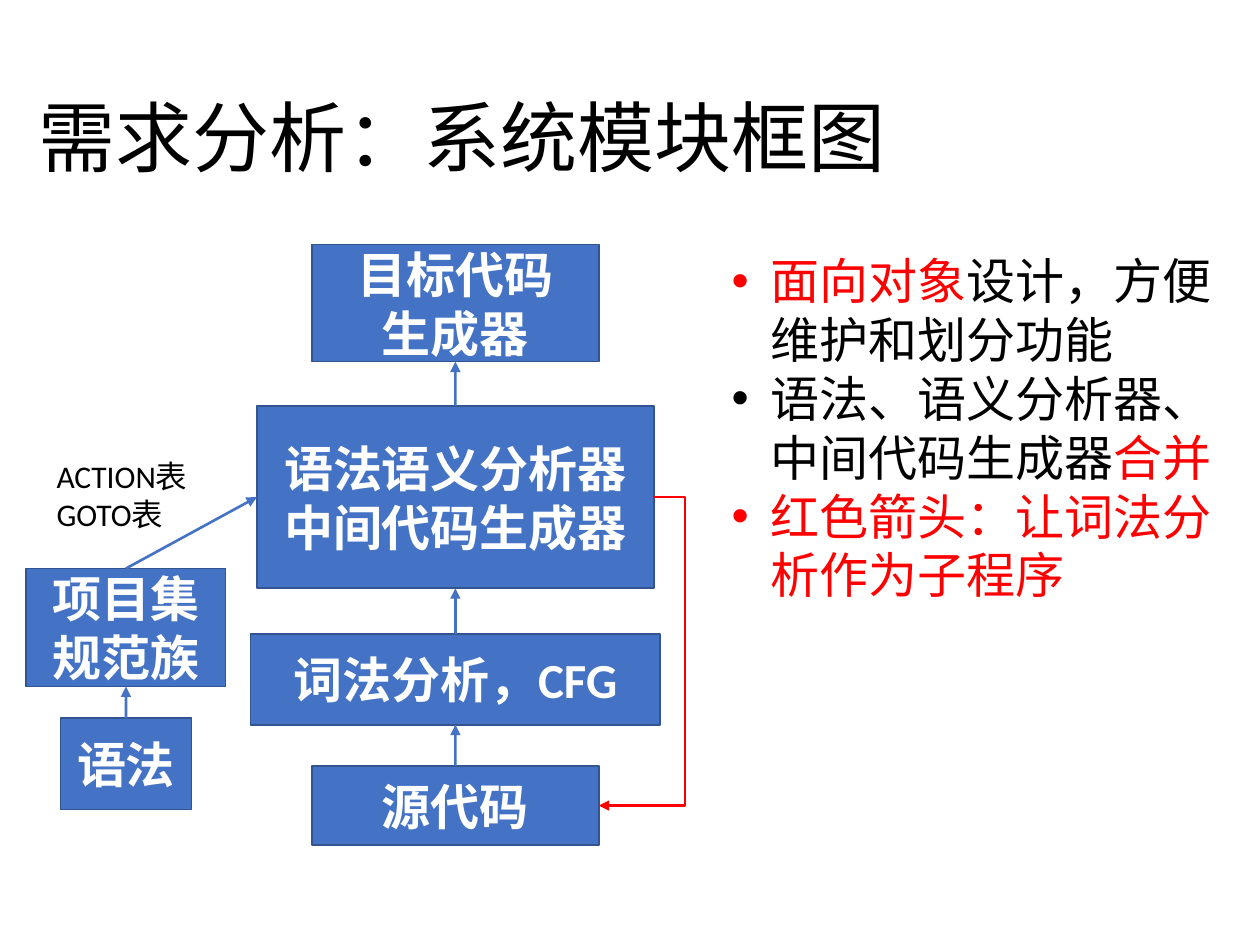
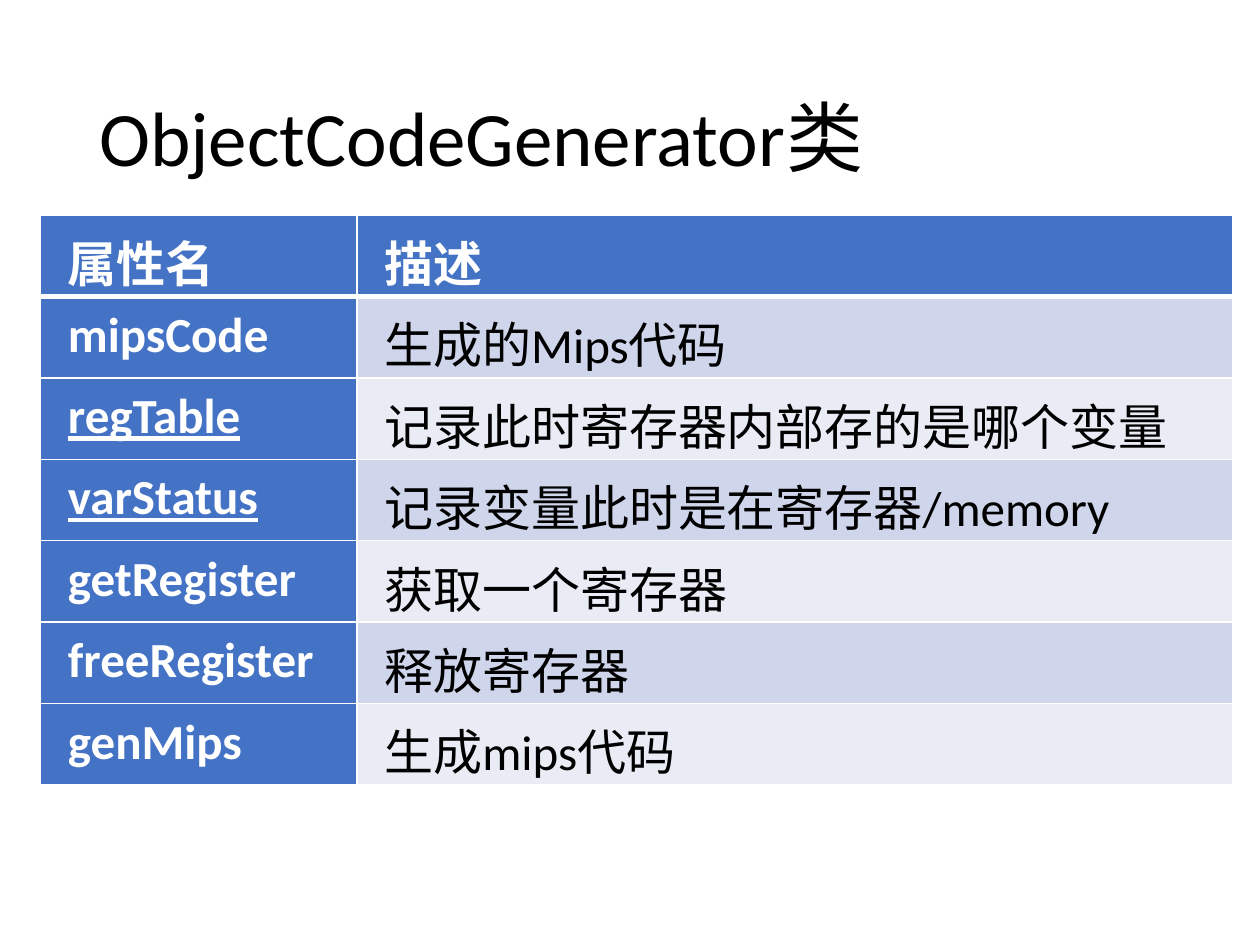
from lxml import etree
from pptx import Presentation
from pptx import util as u
from pptx.dml import color
from pptx.enum import shapes, text
from pptx.oxml import ns

BLUE, OUTLINE, RED = "4472C4", "325491", "FF0000"
BLACK, WHITE = "000000", "FFFFFF"
BANDS = ["CFD5EA", "E9EBF5"]


def rgb(value):
    return color.RGBColor.from_string(value)


def write(frame, lines, size, bold=False):
    """Fill a text frame; each line is a list of (text, colour) runs."""
    frame.word_wrap = True
    for number, line in enumerate(lines):
        para = frame.paragraphs[0] if number == 0 else frame.add_paragraph()
        for words, shade in line:
            span = para.add_run()
            span.text = words
            span.font.name = "Calibri"
            span.font.size = u.Pt(size)
            span.font.bold = bold
            span.font.color.rgb = rgb(shade)


deck = Presentation()
deck.slide_width, deck.slide_height = u.Cm(25.4), u.Cm(19.05)

# Pages and their titles
pages = []
for title, left, width in [("需求分析：系统模块框图", 0.53, 24.31),
                           ("ObjectCodeGenerator类", 1.75, 21.9)]:
    page = deck.slides.add_slide(deck.slide_layouts[6])
    box = page.shapes.add_textbox(u.Cm(left), u.Cm(1.02), u.Cm(width), u.Cm(3.68))
    box.text_frame.vertical_anchor = text.MSO_ANCHOR.MIDDLE
    write(box.text_frame, [[(title, BLACK)]], 44)
    box.text_frame.paragraphs[0].line_spacing = 0.9
    pages.append(page)
diagram_page, table_page = pages

# Module diagram: two columns of boxes, each centred on one axis
MAIN_AXIS, GRAMMAR_AXIS = 9.18, 2.54
modules = {}
for name, axis, top, width, height, lines in [
    ("lexer", MAIN_AXIS, 12.78, 8.26, 1.83, ["词法分析，CFG"]),
    ("parser", MAIN_AXIS, 8.18, 8, 3.68, ["语法语义分析器", "中间代码生成器"]),
    ("target", MAIN_AXIS, 4.93, 5.78, 2.36, ["目标代码", "生成器"]),
    ("source", MAIN_AXIS, 15.44, 5.78, 1.6, ["源代码"]),
    ("items", GRAMMAR_AXIS, 11.46, 4.02, 2.38, ["项目集", "规范族"]),
    ("grammar", GRAMMAR_AXIS, 14.48, 2.64, 1.84, ["语法"]),
]:
    box = diagram_page.shapes.add_shape(
        shapes.MSO_SHAPE.RECTANGLE,
        u.Cm(axis - width / 2), u.Cm(top), u.Cm(width), u.Cm(height))
    box.shadow.inherit = False
    box.fill.solid()
    box.fill.fore_color.rgb = rgb(BLUE)
    box.line.color.rgb = rgb(OUTLINE)
    box.line.width = u.Pt(1)
    box.text_frame.vertical_anchor = text.MSO_ANCHOR.MIDDLE
    write(box.text_frame, [[(line, WHITE)] for line in lines], 28, bold=True)
    for para in box.text_frame.paragraphs:
        para.alignment = text.PP_ALIGN.CENTER
    modules[name] = box

# Arrows between modules
TOP, LEFT, BOTTOM, RIGHT = range(4)
STRAIGHT, ELBOW = shapes.MSO_CONNECTOR.STRAIGHT, shapes.MSO_CONNECTOR.ELBOW
for kind, start, start_side, end, end_side, shade in [
    (STRAIGHT, "source", TOP, "lexer", BOTTOM, BLUE),
    (STRAIGHT, "lexer", TOP, "parser", BOTTOM, BLUE),
    (STRAIGHT, "parser", TOP, "target", BOTTOM, BLUE),
    (STRAIGHT, "grammar", TOP, "items", BOTTOM, BLUE),
    (STRAIGHT, "items", TOP, "parser", LEFT, BLUE),
    (ELBOW, "parser", RIGHT, "source", RIGHT, RED),
]:
    arrow = diagram_page.shapes.add_connector(kind, 0, 0, 0, 0)
    arrow.begin_connect(modules[start], start_side)
    arrow.end_connect(modules[end], end_side)
    arrow.line.color.rgb = rgb(shade)
    arrow.line.width = u.Pt(1.5)
    etree.SubElement(arrow.line._get_or_add_ln(), ns.qn("a:tailEnd"), type="triangle")
    properties = arrow._element.spPr
    etree.SubElement(properties, ns.qn("a:effectLst"))
    if kind == ELBOW:
        geometry = properties.find(ns.qn("a:prstGeom"))
        guides = geometry.find(ns.qn("a:avLst"))
        if guides is None:
            guides = etree.SubElement(geometry, ns.qn("a:avLst"))
        etree.SubElement(guides, ns.qn("a:gd"), name="adj1", fmla="val -56700")

tables_label = diagram_page.shapes.add_textbox(u.Cm(0.89), u.Cm(9.09), u.Cm(3.4), u.Cm(1.8))
write(tables_label.text_frame, [[("ACTION表", BLACK)], [("GOTO表", BLACK)]], 18)

# Design notes beside the diagram
design = diagram_page.shapes.add_textbox(u.Cm(14.5), u.Cm(4.93), u.Cm(10.36), u.Cm(11.02))
write(design.text_frame, [
    [("面向对象", RED), ("设计，方便维护和划分功能", BLACK)],
    [("语法、语义分析器、中间代码生成器", BLACK), ("合并", RED)],
    [("红色箭头：让词法分析作为子程序", RED)],
], 28)
for para in design.text_frame.paragraphs:
    settings = para._p.get_or_add_pPr()
    settings.set("marL", str(u.Cm(0.79)))
    settings.set("indent", str(-u.Cm(0.79)))
    etree.SubElement(settings, ns.qn("a:buFont"), typeface="Arial")
    etree.SubElement(settings, ns.qn("a:buChar"), char="•")

# Table of class members
members = [
    ("属性名", "描述"),
    ("mipsCode", "生成的Mips代码"),
    ("regTable", "记录此时寄存器内部存的是哪个变量"),
    ("varStatus", "记录变量此时是在寄存器/memory"),
    ("getRegister", "获取一个寄存器"),
    ("freeRegister", "释放寄存器"),
    ("genMips", "生成mips代码"),
]
underlined = {"regTable", "varStatus"}
ROW_HEIGHT = 1.64
grid = table_page.shapes.add_table(
    len(members), 2, u.Cm(0.82), u.Cm(4.34),
    u.Cm(24.04), u.Cm(ROW_HEIGHT * len(members))).table
for column, width in zip(grid.columns, (6.38, 17.66)):
    column.width = u.Cm(width)

for row, member in enumerate(members):
    grid.rows[row].height = u.Cm(ROW_HEIGHT)
    for column, words in enumerate(member):
        heading = row == 0 or column == 0
        cell = grid.cell(row, column)
        cell.margin_left = cell.margin_right = u.Cm(0.19)
        cell.margin_top = cell.margin_bottom = 0
        cell.fill.solid()
        cell.fill.fore_color.rgb = rgb(BLUE if heading else BANDS[(row - 1) % 2])
        write(cell.text_frame, [[(words, WHITE if heading else BLACK)]], 28, bold=heading)
        para = cell.text_frame.paragraphs[0]
        para.line_spacing = 1.15
        para._p.get_or_add_pPr().set("indent", str(u.Cm(0.36)))
        if words in underlined:
            para.runs[0].font.underline = True
        for position, side in enumerate(("lnL", "lnR", "lnT", "lnB")):
            under_header = (row, side) in [(0, "lnB"), (1, "lnT")]
            border = etree.Element(ns.qn(f"a:{side}"), w=str(u.Pt(3 if under_header else 1)))
            paint = etree.SubElement(border, ns.qn("a:solidFill"))
            etree.SubElement(paint, ns.qn("a:srgbClr"), val=WHITE)
            cell._tc.get_or_add_tcPr().insert(position, border)

deck.save("out.pptx")
